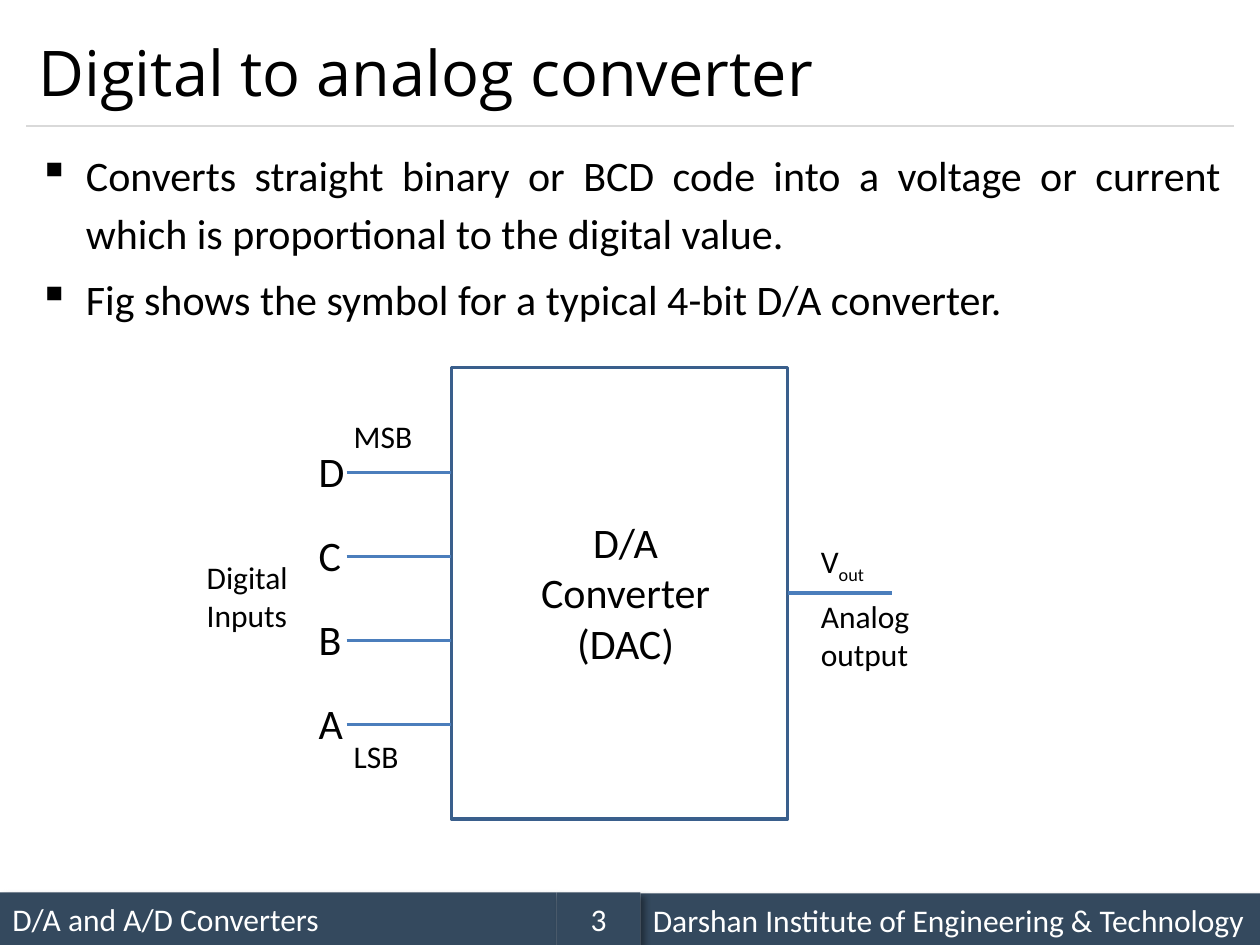
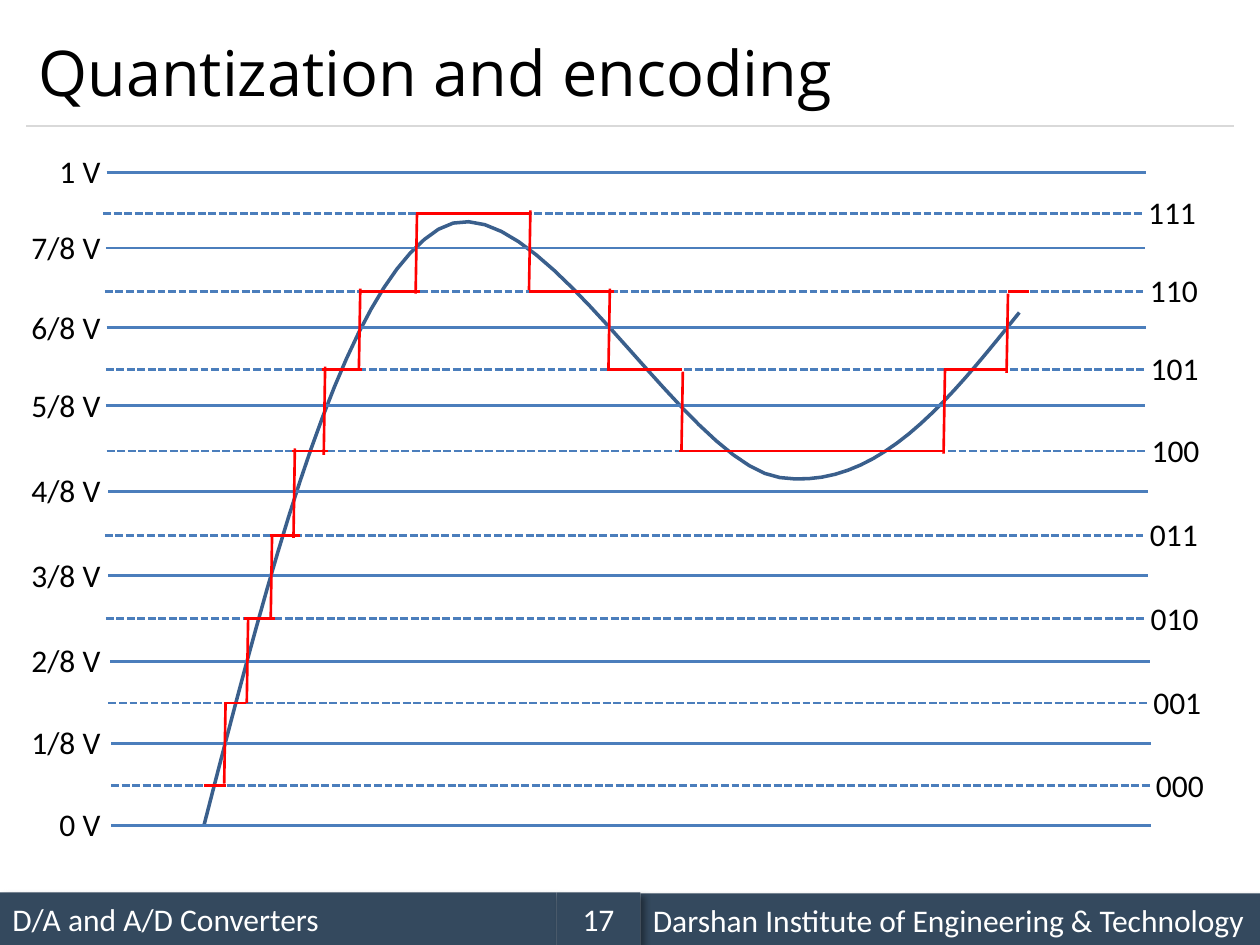
from dataclasses import dataclass
from typing import Any

from lxml.etree import SubElement
from pptx import Presentation
from pptx.dml.color import RGBColor
from pptx.enum.dml import MSO_LINE
from pptx.enum.shapes import MSO_CONNECTOR, MSO_SHAPE
from pptx.enum.text import MSO_ANCHOR, PP_ALIGN
from pptx.oxml.ns import qn
from pptx.util import Pt

HUES = {"ink": "000000", "band": "34495E", "light": "FFFFFF", "rule": "D9D9D9",
        "edge": "3A5F8C", "wire": "4B7EBC", "step": "FF0000"}
BODY = {"name": "Calibri", "size": Pt(18)}
LARGE = {"name": "Calibri", "size": Pt(24)}
HEAD = {"name": "Open Sans", "size": Pt(36)}
LEFT, MID, RIGHT = PP_ALIGN.LEFT, PP_ALIGN.CENTER, PP_ALIGN.RIGHT


@dataclass
class Label:
    text: str
    x: float
    y: float
    w: float
    h: float
    font: dict
    align: Any = LEFT
    anchor: Any = MSO_ANCHOR.TOP


@dataclass
class Wire:
    x1: float
    y1: float
    x2: float
    y2: float
    hue: str = "wire"
    width: float = 1.5
    dash: Any = None


@dataclass
class Band:
    text: str
    x: float
    y: float
    w: float
    align: Any = LEFT


@dataclass
class Level:
    x: float
    y: float


@dataclass
class Run:
    code: int
    x1: float
    x2: float


@dataclass
class Riser:
    x: float
    top: float
    base: float


def color(hue: str) -> RGBColor:
    return RGBColor.from_string(HUES[hue])


def style(item: Any, values: dict) -> None:
    for key, value in values.items():
        setattr(item, key, value)


def write(frame: Any, text: str, font: dict, hue: str, para: dict) -> None:
    """Fill a text frame, one paragraph to each line of text."""
    frame.word_wrap = True
    for i, line in enumerate(text.split("\n")):
        part = frame.add_paragraph() if i else frame.paragraphs[0]
        style(part, para)
        run = part.add_run()
        run.text = line
        style(run.font, font)
        run.font.color.rgb = color(hue)


def add_label(slide: Any, label: Label) -> Any:
    box = slide.shapes.add_textbox(Pt(label.x), Pt(label.y), Pt(label.w), Pt(label.h))
    box.text_frame.vertical_anchor = label.anchor
    write(box.text_frame, label.text, label.font, "ink", {"alignment": label.align})
    return box.text_frame


def add_wire(slide: Any, wire: Wire) -> Any:
    link = slide.shapes.add_connector(MSO_CONNECTOR.STRAIGHT, Pt(wire.x1), Pt(wire.y1),
                                      Pt(wire.x2), Pt(wire.y2))
    link.line.color.rgb = color(wire.hue)
    link.line.width = Pt(wire.width)
    if wire.dash:
        link.line.dash_style = wire.dash
    SubElement(link._element.spPr, qn("a:effectLst"))
    return link


def add_band(slide: Any, band: Band) -> None:
    shape = slide.shapes.add_shape(MSO_SHAPE.RECTANGLE, Pt(band.x), Pt(band.y),
                                   Pt(band.w), Pt(30))
    shape.fill.solid()
    shape.fill.fore_color.rgb = color("band")
    shape.line.fill.background()
    shape.shadow.inherit = False
    glow = SubElement(shape._element.spPr.find(qn("a:effectLst")), qn("a:outerShdw"),
                      blurRad=str(Pt(4)), dist=str(Pt(3)), dir="2700000", rotWithShape="0")
    tint = SubElement(glow, qn("a:srgbClr"), val=HUES["ink"])
    SubElement(tint, qn("a:alpha"), val="40000")
    shape.text_frame.vertical_anchor = MSO_ANCHOR.MIDDLE
    write(shape.text_frame, band.text, BODY, "light", {"alignment": band.align})


def outline(shape: Any) -> None:
    shape.fill.background()
    shape.line.color.rgb = color("edge")
    shape.line.width = Pt(2)
    shape.shadow.inherit = False


def add_page(deck: Any, title: str, page: int) -> Any:
    """Add a slide with its title, rule and footer."""
    slide = deck.slides.add_slide(deck.slide_layouts[6])
    add_band(slide, Band("D/A and A/D Converters", 0, 510, 318))
    add_wire(slide, Wire(15, 72, 705, 72, "rule", 0.75))
    add_band(slide, Band("Darshan Institute of Engineering & Technology", 366, 510.5, 354))
    add_band(slide, Band(str(page), 318, 510, 48, MID))
    add_label(slide, Label(title, 15, 9, 690, 63, HEAD, anchor=MSO_ANCHOR.MIDDLE))
    return slide


# Converter symbol
POINTS = ("Converts straight binary or BCD code into a voltage or current "
          "which is proportional to the digital value.\n"
          "Fig shows the symbol for a typical 4-bit D/A converter.")
NOTES = [
    Label("MSB", 195, 235, 63, 29, BODY),
    Label("LSB", 195, 417.5, 63, 29, BODY),
    Label("Digital\nInputs", 111, 315.5, 63, 51, BODY),
    Label("Analog\noutput", 462, 337.5, 75, 51, BODY),
    Label("D/A\nConverter\n(DAC)", 301, 291.5, 113, 94, LARGE, MID),
]


def add_points(slide: Any) -> None:
    frame = add_label(slide, Label(POINTS, 15, 78, 690, 120, LARGE, PP_ALIGN.JUSTIFY))
    for i, part in enumerate(frame.paragraphs):
        props = part._p.get_or_add_pPr()
        props.set("marL", str(Pt(27)))
        props.set("indent", str(-Pt(27)))
        SubElement(props, qn("a:buChar"), char="▪")
        style(part, {"line_spacing": 1.14, "space_before": Pt(4.8 if i else 0)})


def draw_symbol(deck: Any) -> None:
    slide = add_page(deck, "Digital to analog converter", 3)
    add_points(slide)
    box = slide.shapes.add_shape(MSO_SHAPE.RECTANGLE, Pt(258), Pt(210), Pt(192), Pt(258))
    outline(box)
    for i, bit in enumerate("DCBA"):
        y = 270 + 48 * i
        add_wire(slide, Wire(198, y, 258, y, width=2.25))
        add_label(slide, Label(bit, 175, y - 18.7, 36, 36, LARGE))
    out = add_wire(slide, Wire(450, 339, 510, 339, width=2.25))
    out.begin_connect(box, 3)
    for note in NOTES:
        add_label(slide, note)
    # Output voltage with its subscript
    volt = add_label(slide, Label("V", 462, 306, 63, 29, BODY)).paragraphs[0]
    sub = volt.add_run()
    sub.text = "out"
    style(sub.font, BODY)
    sub.font.color.rgb = color("ink")
    sub._r.get_or_add_rPr().set("baseline", "-25000")


# Quantization chart, lowest level first
SPAN = 594
VOLTS = [Level(63.5, 471.6), Level(63.5, 424.8), Level(63, 378), Level(62, 329),
         Level(62, 280.8), Level(60.5, 231.8), Level(61, 187.2), Level(60.5, 141.8),
         Level(61, 98.6)]
CODES = [Level(63.5, 449), Level(62, 401.8), Level(60.5, 353.5), Level(60, 306),
         Level(61, 257.8), Level(60.5, 211), Level(60, 166.5), Level(59, 122)]
CURVE = [(116.6, 471.6), (156.2, 318.2), (195.8, 164.2), (250.6, 131), (305.3, 97.9),
         (390.2, 265), (445.7, 272.9), (501.1, 280.8), (541.4, 229.7), (582.5, 178.6)]
RISERS = [Riser(128.9, 401.8, 447.8), Riser(141.8, 353.5, 401.8),
          Riser(155.5, 305.3, 353.5), Riser(168.5, 256.3, 307.4),
          Riser(185.8, 209.5, 259.9), Riser(205.9, 164.9, 210.2),
          Riser(238.3, 122.4, 167.8), Riser(303.1, 120.2, 165.6),
          Riser(348.5, 164.9, 210.2), Riser(390.2, 212.4, 257.8),
          Riser(540, 211, 259.2), Riser(576, 167.8, 213.1)]
RUNS = [Run(0, 116.6, 128.9), Run(1, 128.2, 140.4), Run(2, 139.7, 157),
        Run(3, 154.1, 171.4), Run(4, 167, 187.2), Run(5, 184.3, 206.6),
        Run(6, 205.9, 239.8), Run(7, 237.6, 303.1), Run(6, 302.4, 350.6),
        Run(5, 347, 389.5), Run(4, 388.1, 538.6), Run(5, 539.3, 576),
        Run(6, 576, 588.2)]


def bezier(knots: list, t: float) -> tuple:
    u = 1 - t
    parts = (u ** 3, 3 * u * u * t, 3 * u * t * t, t ** 3)
    return tuple(Pt(sum(f * k[axis] for f, k in zip(parts, knots))) for axis in (0, 1))


def add_curve(slide: Any, count: int = 20) -> None:
    dots = [bezier(CURVE[i:i + 4], n / count)
            for i in range(0, len(CURVE) - 1, 3) for n in range(1, count + 1)]
    pen = slide.shapes.build_freeform(Pt(CURVE[0][0]), Pt(CURVE[0][1]))
    pen.add_line_segments(dots, close=False)
    outline(pen.convert_to_shape())


def draw_levels(deck: Any) -> None:
    slide = add_page(deck, "Quantization and encoding", 17)
    add_curve(slide)
    # Voltage levels
    for i, row in enumerate(VOLTS):
        text = {0: "0 V", 8: "1 V"}.get(i, f"{i}/8 V")
        add_wire(slide, Wire(row.x, row.y, row.x + SPAN, row.y))
        add_label(slide, Label(text, 9.5, row.y - 15, 55, 29, BODY, RIGHT))
    # Code levels
    for i, row in enumerate(CODES):
        add_wire(slide, Wire(row.x, row.y, row.x + SPAN, row.y, dash=MSO_LINE.SQUARE_DOT))
        add_label(slide, Label(f"{i:03b}", row.x + 590, row.y - 15, 45, 29, BODY))
    # Staircase
    for rise in RISERS:
        add_wire(slide, Wire(rise.x, rise.top, rise.x - 0.8, rise.base, "step"))
    for run in RUNS:
        y = CODES[run.code].y
        add_wire(slide, Wire(run.x1, y, run.x2, y, "step"))


def main() -> None:
    deck = Presentation()
    style(deck, {"slide_width": Pt(720), "slide_height": Pt(540)})
    draw_symbol(deck)
    draw_levels(deck)
    deck.save("out.pptx")


if __name__ == "__main__":
    main()
